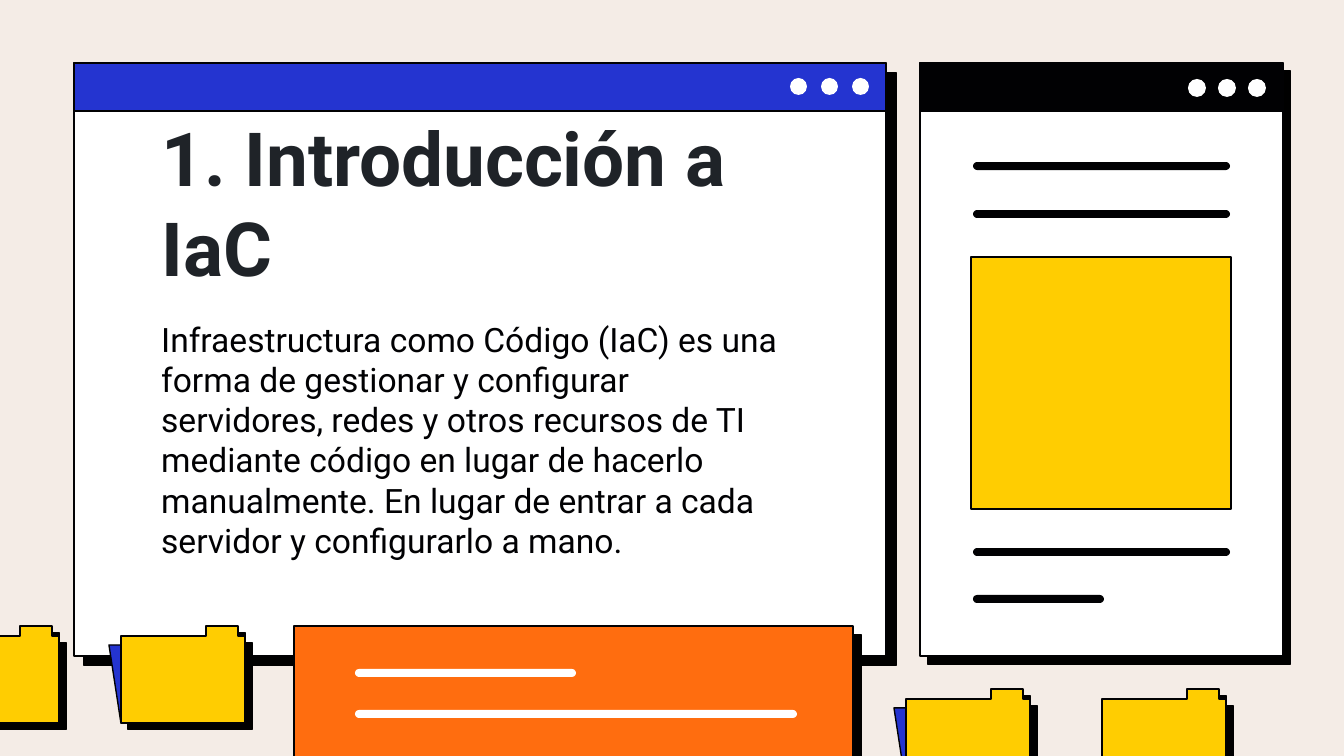
import pptx
import pptx.dml.color
import pptx.enum.shapes
import pptx.enum.text
import pptx.oxml
import pptx.oxml.ns
import pptx.util

COLORS = {"background": "F4ECE6", "ink": "010103", "shadow": "000000", "white": "FFFFFF",
          "blue": "2434D0", "yellow": "FFCD01", "orange": "FF6D0F", "title": "1F2328"}
FONT = "Roboto"
EMU_PER_PX = 914400 / 134.4
SLIDE_SIZE = (1344, 756)

TITLE = {"text": "1. Introducción a IaC", "box": (148, 183, 665, 122), "size": 40,
         "color": "title", "bold": True, "anchor": "BOTTOM"}
BODY = {"text": "Infraestructura como Código (IaC) es una forma de gestionar y configurar "
                "servidores, redes y otros recursos de TI mediante código en lugar de hacerlo "
                "manualmente. En lugar de entrar a cada servidor y configurarlo a mano.",
        "box": (148, 305, 665, 286), "size": 18, "color": "ink", "bold": False, "anchor": "TOP"}

# Shadows are (distance in points, angle in degrees).
MAIN_WINDOW = {"box": (74, 63, 812, 593), "bar": "blue", "shadow": (7.5, 44),
               "dot": 17, "first_dot": (790, 78), "dot_step": 31}
SIDE_WINDOW = {"box": (920, 63, 363, 593), "bar": "ink", "shadow": (6, 46),
               "dot": 18, "first_dot": (1188, 79), "dot_step": 30}
BAR_HEIGHT = 48
DOT_COUNT = 3

SIDE_PICTURE = (971, 257, 260, 252)
SIDE_LINES = [(973, 162, 257), (973, 210, 257), (973, 548, 257), (973, 595, 131)]
CARD = (294, 626, 559, 136)
CARD_SHADOW = (6.8, 46)
CARD_LINES = [(355, 669, 221), (355, 710, 442)]
LINE_HEIGHT = 8

# Left and top of the front, and whether a blue sheet shows behind it.
LOWER_FOLDERS = [(906, 689, True), (1102, 689, False)]
UPPER_FOLDERS = [(121, 626, True), (-65, 626, False)]
FOLDER_FRONT = [(85, 0), (85, 10), (0, 10), (0, 97), (124, 97), (124, 10), (117, 10), (117, 0)]
FOLDER_SHEET = [(-12, 19), (0, 97), (124, 97), (111, 19)]
FOLDER_SHADOW = (5.2, 43)

SHAPES = pptx.enum.shapes.MSO_SHAPE


def px(value):
    return pptx.util.Emu(round(value * EMU_PER_PX))


def rgb(name):
    return pptx.dml.color.RGBColor.from_string(COLORS[name])


def style(shape, fill, outlined, shadow=None):
    shape.fill.solid()
    shape.fill.fore_color.rgb = rgb(fill)
    if outlined:
        shape.line.color.rgb = rgb("ink")
        shape.line.width = pptx.util.Pt(0.75)
    else:
        shape.line.fill.background()
    shape.shadow.inherit = False
    if shadow:
        distance, angle = shadow
        effects = shape._element.spPr.find(pptx.oxml.ns.qn("a:effectLst"))
        effects.append(pptx.oxml.parse_xml(
            f'<a:outerShdw {pptx.oxml.ns.nsdecls("a")} blurRad="0" '
            f'dist="{pptx.util.Pt(distance)}" dir="{angle * 60000}" algn="bl" rotWithShape="0">'
            f'<a:srgbClr val="{COLORS["shadow"]}"/></a:outerShdw>'))


def add_box(slide, kind, box, fill, outlined=False, shadow=None):
    shape = slide.shapes.add_shape(kind, *map(px, box))
    style(shape, fill, outlined, shadow)
    return shape


def add_outline(slide, left, top, points, fill, shadow=None):
    corners = [(left + x, top + y) for x, y in points]
    builder = slide.shapes.build_freeform(*corners[0], scale=EMU_PER_PX)
    builder.add_line_segments(corners[1:], close=True)
    style(builder.convert_to_shape(), fill, True, shadow)


def add_folders(slide, folders):
    for left, top, has_sheet in folders:
        if has_sheet:
            add_outline(slide, left, top, FOLDER_SHEET, "blue")
        add_outline(slide, left, top, FOLDER_FRONT, "yellow", FOLDER_SHADOW)


def add_window(slide, window):
    left, top, width, height = window["box"]
    add_box(slide, SHAPES.RECTANGLE, window["box"], "white", True, window["shadow"])
    add_box(slide, SHAPES.RECTANGLE, (left, top, width, BAR_HEIGHT), window["bar"], True)
    dot_left, dot_top = window["first_dot"]
    for index in range(DOT_COUNT):
        box = (dot_left + index * window["dot_step"], dot_top, window["dot"], window["dot"])
        add_box(slide, SHAPES.OVAL, box, "white")


def add_text_lines(slide, lines, color):
    """Draw round-ended bars that stand for lines of text."""
    for left, top, width in lines:
        box = (left, top, width, LINE_HEIGHT)
        add_box(slide, SHAPES.ROUNDED_RECTANGLE, box, color).adjustments[0] = 0.5


def write(shape, content):
    shape.left, shape.top, shape.width, shape.height = map(px, content["box"])
    frame = shape.text_frame
    frame.word_wrap = True
    frame.auto_size = pptx.enum.text.MSO_AUTO_SIZE.NONE
    frame.vertical_anchor = pptx.enum.text.MSO_ANCHOR[content["anchor"]]
    inset = pptx.util.Inches(0.1)
    frame.margin_left = frame.margin_top = frame.margin_right = frame.margin_bottom = inset
    paragraph = frame.paragraphs[0]
    paragraph.alignment = pptx.enum.text.PP_ALIGN.LEFT
    run = paragraph.add_run()
    run.text = content["text"]
    run.font.name = FONT
    run.font.size = pptx.util.Pt(content["size"])
    run.font.bold = content["bold"]
    run.font.color.rgb = rgb(content["color"])


def main():
    presentation = pptx.Presentation()
    presentation.slide_width, presentation.slide_height = map(px, SLIDE_SIZE)
    slide = presentation.slides.add_slide(presentation.slide_layouts[5])
    slide.background.fill.solid()
    slide.background.fill.fore_color.rgb = rgb("background")

    add_folders(slide, LOWER_FOLDERS)
    add_window(slide, MAIN_WINDOW)
    title = slide.shapes.title
    slide.shapes._spTree.append(title._element)  # bring the title in front of its window
    write(title, TITLE)
    write(slide.shapes.add_textbox(*map(px, BODY["box"])), BODY)

    add_window(slide, SIDE_WINDOW)
    add_box(slide, SHAPES.RECTANGLE, SIDE_PICTURE, "yellow", True)
    add_text_lines(slide, SIDE_LINES, "ink")

    add_box(slide, SHAPES.RECTANGLE, CARD, "orange", True, CARD_SHADOW)
    add_text_lines(slide, CARD_LINES, "white")
    add_folders(slide, UPPER_FOLDERS)
    presentation.save("out.pptx")


if __name__ == "__main__":
    main()
